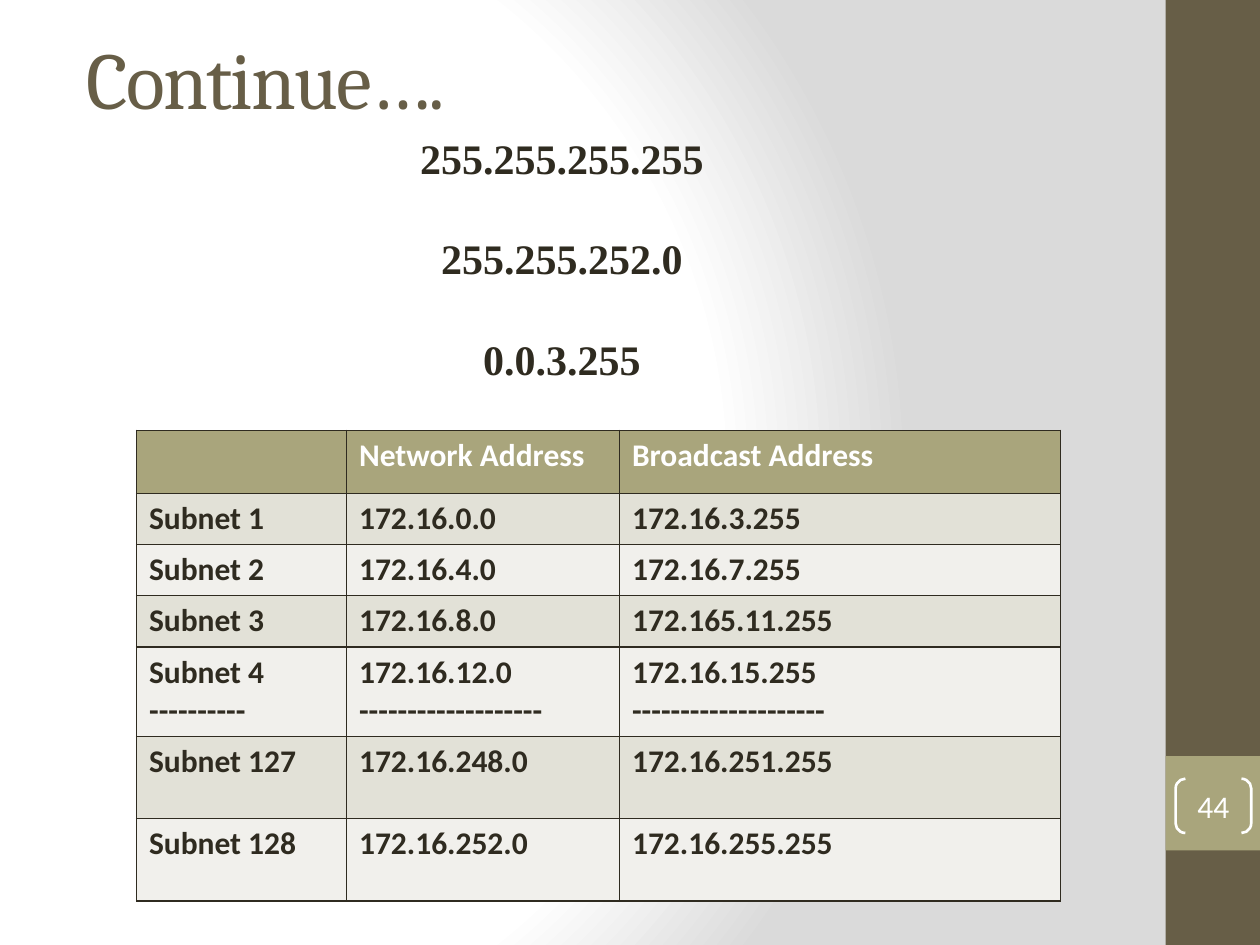
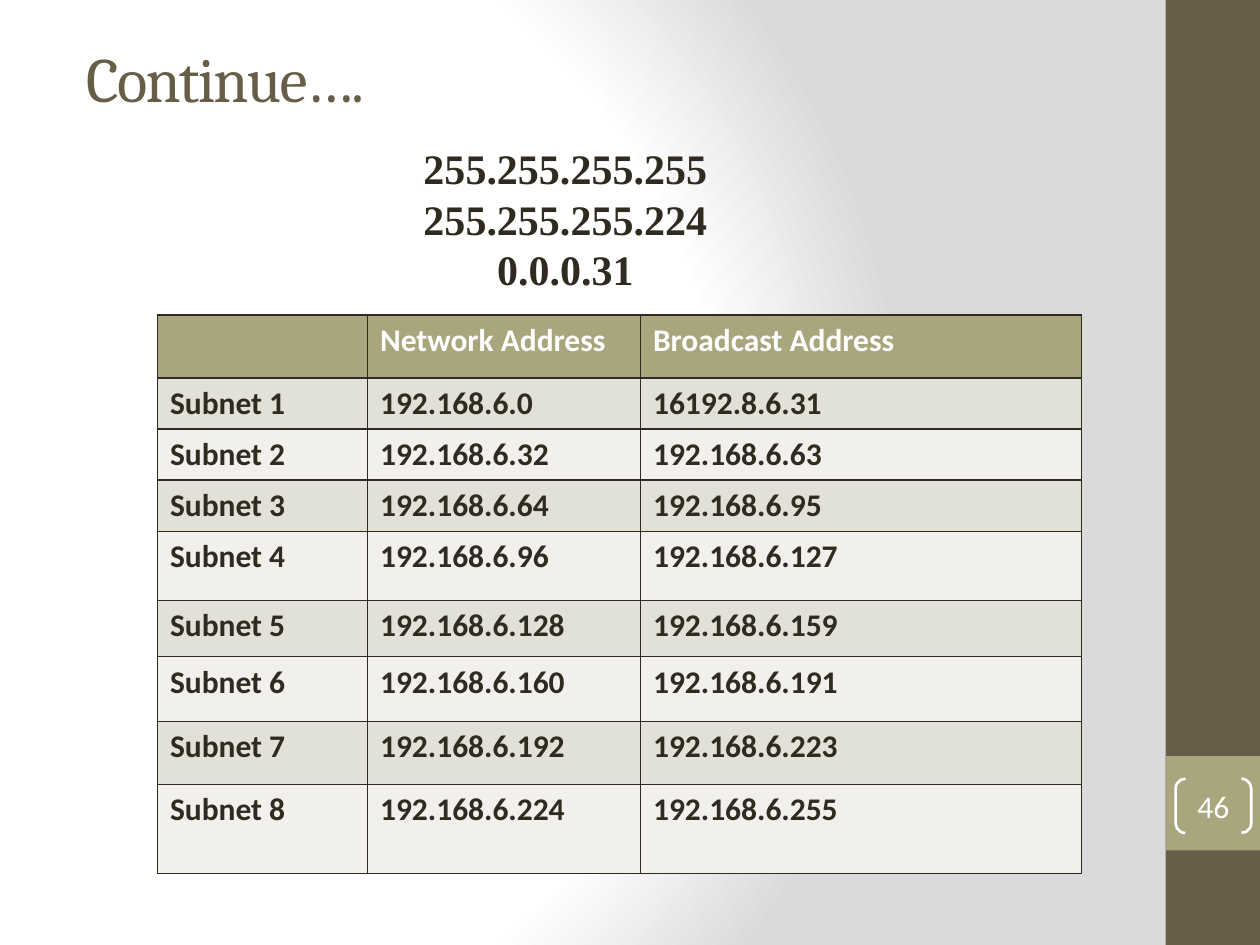
import pptx
import pptx.dml.color
import pptx.enum.shapes
import pptx.enum.text
import pptx.oxml
import pptx.oxml.ns
import pptx.util
from lxml import etree

Pt = pptx.util.Pt
RGBColor = pptx.dml.color.RGBColor
SHAPES = pptx.enum.shapes.MSO_SHAPE
ALIGN = pptx.enum.text.PP_ALIGN
ANCHOR = pptx.enum.text.MSO_ANCHOR
AUTO_SIZE = pptx.enum.text.MSO_AUTO_SIZE
qn = pptx.oxml.ns.qn

BROWN = RGBColor(0x67, 0x5E, 0x47)
OLIVE = RGBColor(0xA9, 0xA5, 0x7C)
INK = RGBColor(0x2F, 0x2B, 0x20)
WHITE = RGBColor(0xFF, 0xFF, 0xFF)
ROW_DARK = RGBColor(0xE2, 0xE1, 0xD7)
ROW_LIGHT = RGBColor(0xF1, 0xF0, 0xEC)

TITLE_FONT = {"name": "Cambria", "bold": False}
MASK_FONT = {"name": "Times New Roman", "size": Pt(24), "bold": True}
CELL_FONT = {"name": "Calibri", "size": Pt(18), "bold": True}
NUMBER_FONT = {"name": "Calibri", "size": Pt(18), "bold": False}
NO_MARGINS = {f"margin_{side}": 0 for side in ("left", "top", "right", "bottom")}

MASK_LINE = 28.8
COLUMN_WIDTHS = (120, 156, 252)
HEADER = ("", "Network Address", "Broadcast Address")

BACKGROUND = f"""
<p:bg {pptx.oxml.ns.nsdecls("p", "a")}><p:bgPr>
  <a:gradFill rotWithShape="1">
    <a:gsLst>
      <a:gs pos="0"><a:srgbClr val="FFFFFF"/></a:gs>
      <a:gs pos="75000"><a:srgbClr val="FFFFFF"/></a:gs>
      <a:gs pos="100000"><a:srgbClr val="DADADA"/></a:gs>
    </a:gsLst>
    <a:path path="circle"><a:fillToRect l="20000" t="50000" r="100000" b="50000"/></a:path>
  </a:gradFill>
  <a:effectLst/>
</p:bgPr></p:bg>"""

CLASS_B_ROWS = (
    ("Subnet 1", "172.16.0.0", "172.16.3.255"),
    ("Subnet 2", "172.16.4.0", "172.16.7.255"),
    ("Subnet 3", "172.16.8.0", "172.165.11.255"),
    ("Subnet 4\n----------", "172.16.12.0\n-------------------",
     "172.16.15.255\n--------------------"),
    ("Subnet 127", "172.16.248.0", "172.16.251.255"),
    ("Subnet 128", "172.16.252.0", "172.16.255.255"),
)
CLASS_C_ROWS = (
    ("Subnet 1", "192.168.6.0", "16192.8.6.31"),
    ("Subnet 2", "192.168.6.32", "192.168.6.63"),
    ("Subnet 3", "192.168.6.64", "192.168.6.95"),
    ("Subnet 4", "192.168.6.96", "192.168.6.127"),
    ("Subnet 5", "192.168.6.128", "192.168.6.159"),
    ("Subnet 6", "192.168.6.160", "192.168.6.191"),
    ("Subnet 7", "192.168.6.192", "192.168.6.223"),
    ("Subnet 8", "192.168.6.224", "192.168.6.255"),
)


def set_all(target, values):
    for name, value in values.items():
        setattr(target, name, value)


def set_font(font, values, color):
    set_all(font, values)
    font.color.rgb = color


def set_background(master):
    content = master.element.cSld
    for old in content.findall(qn("p:bg")):
        content.remove(old)
    content.insert(0, pptx.oxml.parse_xml(BACKGROUND))


def add_band(page, top, height, color):
    band = page.shapes.add_shape(SHAPES.RECTANGLE, Pt(666), Pt(top), Pt(54), Pt(height))
    band.shadow.inherit = False
    band.fill.solid()
    band.fill.fore_color.rgb = color
    band.line.fill.background()


def add_page_number(page, number):
    bracket = page.shapes.add_shape(SHAPES.DOUBLE_BRACKET, Pt(671.8), Pt(445), Pt(43.2), Pt(31))
    bracket.shadow.inherit = False
    bracket.adjustments[0] = 0.18
    bracket.fill.background()
    bracket.line.color.rgb = WHITE
    bracket.line.width = Pt(1.5)
    frame = bracket.text_frame
    set_all(frame, {**NO_MARGINS, "vertical_anchor": ANCHOR.MIDDLE})
    para = frame.paragraphs[0]
    para.text = str(number)
    para.alignment = ALIGN.CENTER
    set_font(para.font, NUMBER_FONT, WHITE)


def set_title(page, text, size):
    title = page.shapes.title
    set_all(title, {"left": Pt(42), "top": Pt(-1), "width": Pt(600), "height": Pt(90)})
    set_all(title.text_frame, {"vertical_anchor": ANCHOR.MIDDLE, "auto_size": AUTO_SIZE.NONE})
    para = title.text_frame.paragraphs[0]
    para.alignment = ALIGN.LEFT
    span = para.add_run()
    span.text = text
    set_font(span.font, {**TITLE_FONT, "size": Pt(size)}, BROWN)
    span.font._element.set("spc", "-100")


def add_masks(page, left, top, masks, gap):
    height = 7.2 + MASK_LINE * len(masks) + gap * (len(masks) - 1)
    box = page.shapes.add_textbox(Pt(left), Pt(top), Pt(342), Pt(height))
    frame = box.text_frame
    set_all(frame, {"word_wrap": True, "auto_size": AUTO_SIZE.SHAPE_TO_FIT_TEXT})
    for index, mask in enumerate(masks):
        para = frame.add_paragraph() if index else frame.paragraphs[0]
        para.text = mask
        set_all(para, {"alignment": ALIGN.CENTER, "line_spacing": Pt(MASK_LINE),
                       "space_before": Pt(gap if index else 0)})
        set_font(para.font, MASK_FONT, INK)


def add_cell_borders(cell):
    properties = cell._tc.get_or_add_tcPr()
    for side in ("a:lnL", "a:lnR", "a:lnT", "a:lnB"):
        line = etree.SubElement(properties, qn(side), w=str(Pt(1)))
        fill = etree.SubElement(line, qn("a:solidFill"))
        etree.SubElement(fill, qn("a:srgbClr"), val=str(INK))


def fill_cell(cell, text, fill_color, text_color):
    add_cell_borders(cell)
    cell.fill.solid()
    cell.fill.fore_color.rgb = fill_color
    cell.text = text
    for para in cell.text_frame.paragraphs:
        set_font(para.font, CELL_FONT, text_color)


def add_subnet_table(page, left, top, subnets, heights):
    rows = (HEADER, *subnets)
    frame = page.shapes.add_table(len(rows), len(HEADER), Pt(left), Pt(top),
                                  Pt(sum(COLUMN_WIDTHS)), Pt(sum(heights)))
    table = frame.table
    for column, width in zip(table.columns, COLUMN_WIDTHS):
        column.width = Pt(width)
    for index, (values, height) in enumerate(zip(rows, heights)):
        table.rows[index].height = Pt(height)
        stripe = ROW_DARK if index % 2 else ROW_LIGHT
        colors = (stripe, INK) if index else (OLIVE, WHITE)
        for column, text in enumerate(values):
            fill_cell(table.cell(index, column), text, *colors)


def add_page(deck, number, title_size):
    page = deck.slides.add_slide(deck.slide_layouts[5])
    add_band(page, 0, 540, BROWN)
    add_band(page, 432, 54, OLIVE)
    set_title(page, "Continue….", title_size)
    add_page_number(page, number)
    return page


def main():
    deck = pptx.Presentation()
    set_all(deck, {"slide_width": Pt(720), "slide_height": Pt(540)})
    set_background(deck.slide_master)

    page = add_page(deck, 44, 46)
    add_subnet_table(page, 78, 246, CLASS_B_ROWS, (36, *[29.2] * 3, 51.2, 47, 47))
    add_masks(page, 150, 72, ("255.255.255.255", "255.255.252.0", "0.0.3.255"), MASK_LINE)

    page = add_page(deck, 46, 36)
    add_subnet_table(page, 90, 180, CLASS_C_ROWS, (36, *[29.2] * 3, 39.5, 32.2, 37, 36, 51))
    add_masks(page, 152, 78, ("255.255.255.255", "255.255.255.224", "0.0.0.31"), 0)

    deck.save("out.pptx")


if __name__ == "__main__":
    main()
